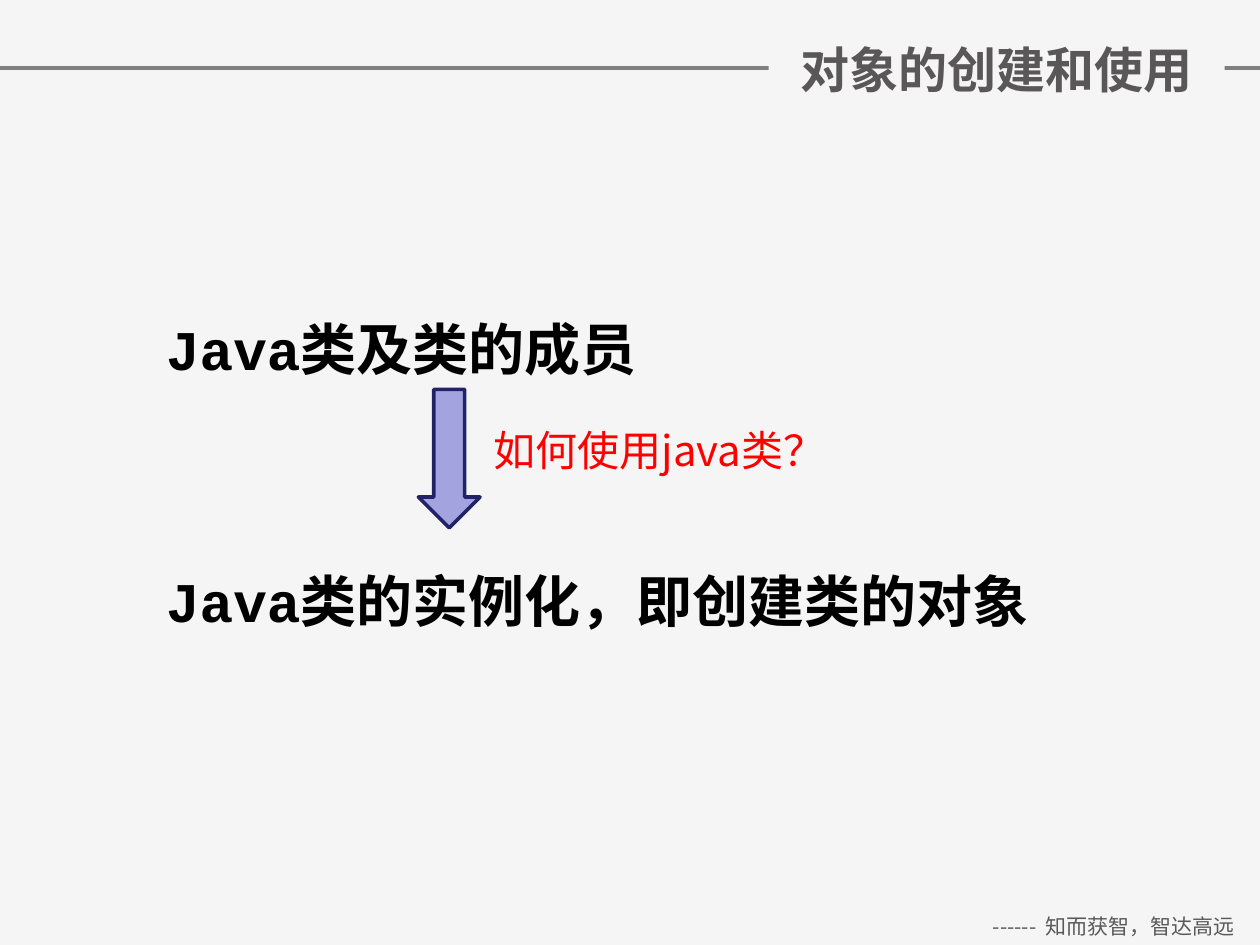
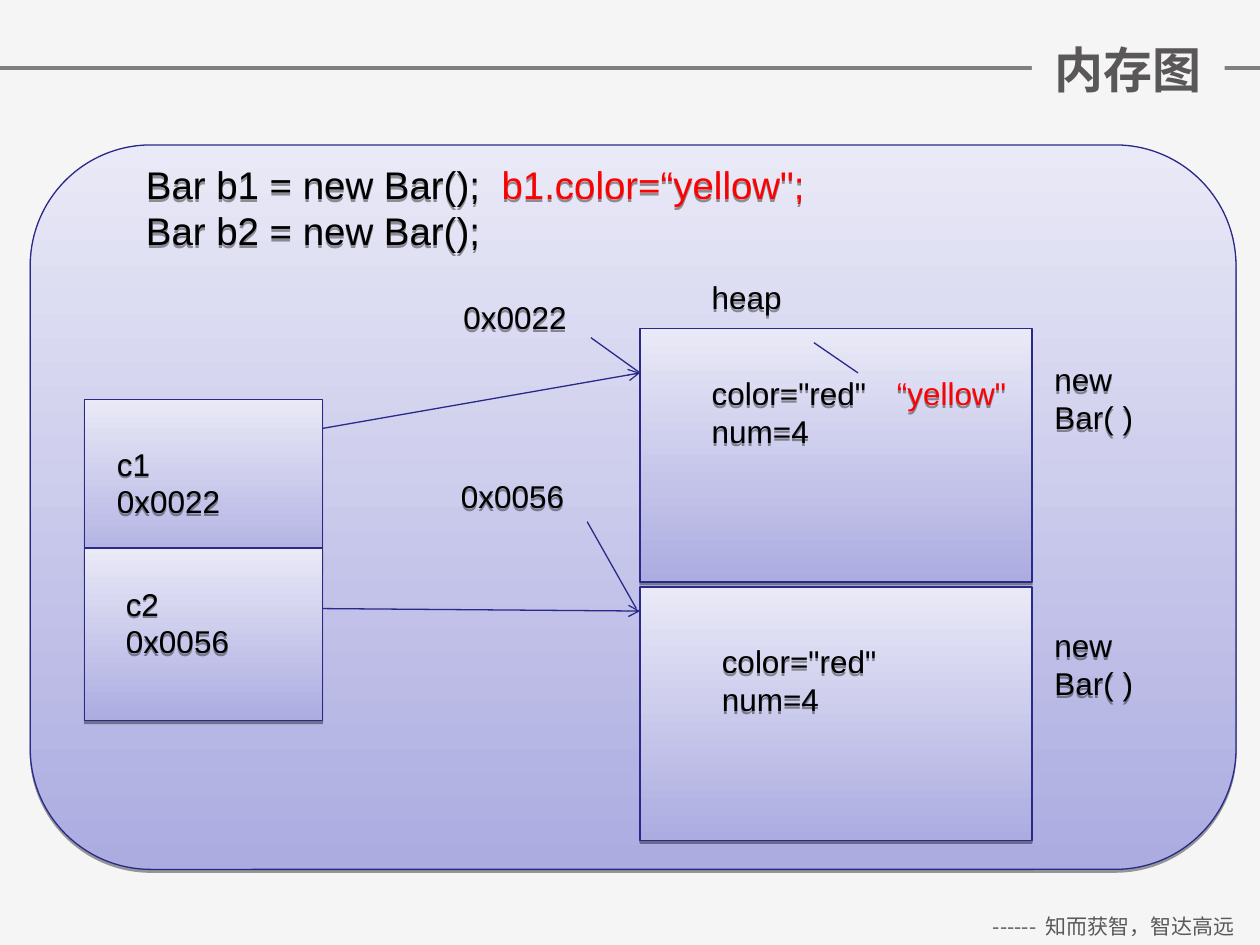
from lxml.etree import SubElement
from pptx import Presentation
from pptx.dml.color import RGBColor
from pptx.enum.shapes import MSO_CONNECTOR, MSO_SHAPE
from pptx.enum.text import MSO_ANCHOR, PP_ALIGN
from pptx.oxml.ns import qn
from pptx.util import Inches, Pt

COLS, ROWS = 10, 7.5
PAPER, GREY, INK, RED = "F5F5F5", "7F7F7F", "000000", "FF0000"
TITLE, FOOTER, NAVY = "595758", "595959", "292989"
DARK, LIGHT = "ACACE1", "E9E9F7"
SANS, CJK, MONO, PLAIN = "Arial", "Noto Sans CJK SC", "Courier New", "Noto Sans CJK JP"


def rgb(value):
    """Turn a hex string into a colour."""
    return RGBColor.from_string(value)


class Deck:
    """Holds the presentation, its shared style and the current slide."""

    def __init__(self):
        """Set the slide size and the background of every slide."""
        self.prs = Presentation()
        self.prs.slide_width, self.prs.slide_height = Inches(10), Inches(7.5)
        fill = self.prs.slide_master.background.fill
        fill.solid()
        fill.fore_color.rgb = rgb(PAPER)

    def grid(self, x, y):
        """Convert a column and a row to slide lengths."""
        return (int(self.prs.slide_width * x / COLS),
                int(self.prs.slide_height * y / ROWS))

    def box(self, x, y, w, h):
        """Convert a grid rectangle to left, top, width and height."""
        return self.grid(x, y) + self.grid(w, h)

    def slide(self, title, width, height):
        """Start a slide with its rule, footer and right-hand title."""
        self.s = self.prs.slides.add_slide(self.prs.slide_layouts[5])
        self.line((0, 0.54), (COLS, 0.54), GREY, 2)
        self.text((7.68, 7.2, 2.32, 0.3), "------  知而获智，智达高远",
                  12, CJK, FOOTER, align=PP_ALIGN.CENTER)
        sp = self.s.shapes.title
        self.s.shapes.element.append(sp.element)
        sp.left, sp.top, sp.width, sp.height = self.box(
            9.72 - width, 0.55 - height / 2, width, height)
        sp.fill.solid()
        sp.fill.fore_color.rgb = rgb(PAPER)
        tf = sp.text_frame
        tf.text = title
        tf.vertical_anchor = MSO_ANCHOR.MIDDLE
        tf.paragraphs[0].alignment = PP_ALIGN.CENTER
        self.style(tf.paragraphs[0].runs[0], 28, CJK, TITLE, True)

    def style(self, r, size, font, color, bold=False):
        """Format one run, with a matching East Asian font."""
        r.font.size, r.font.name, r.font.bold = Pt(size), font, bold
        r.font.color.rgb = rgb(color)
        east = CJK if font in (SANS, MONO) else font
        SubElement(r.font._element, qn("a:ea"), typeface=east)

    def shadow(self, sp):
        """Drop a short, sharp shadow straight down."""
        effects = SubElement(sp.element.spPr, qn("a:effectLst"))
        drop = SubElement(effects, qn("a:outerShdw"), blurRad="0", dist="20320",
                          dir="5400000", rotWithShape="0")
        color = SubElement(drop, qn("a:srgbClr"), val=INK)
        SubElement(color, qn("a:alpha"), val="38000")

    def text(self, at, text, size, font, color=INK, bold=False,
             align=PP_ALIGN.LEFT, accent=""):
        """Add a text box; an accent follows its first line in red."""
        sp = self.s.shapes.add_textbox(*self.box(*at))
        tf = sp.text_frame
        tf.text = text
        tf.word_wrap = True
        for p in tf.paragraphs:
            p.alignment = align
            self.style(p.runs[0], size, font, color, bold)
        if accent:
            r = tf.paragraphs[0].add_run()
            r.text = accent
            self.style(r, size, font, RED, bold)
        return sp

    def label(self, at, text, color=INK, size=18, accent=""):
        """Add a shadowed diagram label."""
        self.shadow(self.text(at, text, size, SANS, color, accent=accent))

    def panel(self, at, kind=MSO_SHAPE.RECTANGLE):
        """Add a gradient panel with a thin outline and a shadow."""
        sp = self.s.shapes.add_shape(kind, *self.box(*at))
        sp.fill.gradient()
        sp.fill.gradient_angle = 90
        for stop, color in zip(sp.fill.gradient_stops, (DARK, LIGHT)):
            stop.color.rgb = rgb(color)
        sp.line.color.rgb = rgb(NAVY)
        sp.line.width = Pt(0.75)
        self.shadow(sp)

    def down_arrow(self, at):
        """Add a solid block arrow pointing down."""
        sp = self.s.shapes.add_shape(MSO_SHAPE.DOWN_ARROW, *self.box(*at))
        sp.shadow.inherit = False
        sp.fill.solid()
        sp.fill.fore_color.rgb = rgb("A3A3E0")
        sp.line.color.rgb = rgb("222268")
        sp.line.width = Pt(2)

    def line(self, start, end, color=NAVY, width=0.75, arrow=False):
        """Add a straight line, with an open arrowhead if asked."""
        sp = self.s.shapes.add_connector(
            MSO_CONNECTOR.STRAIGHT, *self.grid(*start), *self.grid(*end))
        sp.line.color.rgb = rgb(color)
        sp.line.width = Pt(width)
        if arrow:
            SubElement(sp.line._get_or_add_ln(), qn("a:tailEnd"), type="arrow")
        SubElement(sp.element.spPr, qn("a:effectLst"))


def object_creation(deck):
    """Build the slide that leads from class to object."""
    deck.slide("对象的创建和使用", 3.62, 1.04)
    headings = [(2.45, 4.4, "Java类及类的成员"),
                (4.45, 7.56, "Java类的实例化，即创建类的对象")]
    for top, width, heading in headings:
        deck.text((1.22, top, width, 0.64), heading, 32, MONO, bold=True)
    deck.down_arrow((3.32, 3.09, 0.49, 1.1))
    deck.text((3.82, 3.32, 3.54, 0.5), "如何使用java类？", 24, PLAIN, RED)


def memory_map(deck):
    """Build the diagram of stack references and heap objects."""
    deck.slide("内存图", 1.53, 0.57)
    deck.panel((0.24, 1.15, 9.57, 5.75), MSO_SHAPE.ROUNDED_RECTANGLE)
    deck.label((1.06, 1.23, 5.75, 0.84), "Bar b1 = new Bar();  \nBar b2 = new Bar();",
               size=22, accent="b1.color=“yellow\";")
    for top in (3.17, 4.35):
        deck.panel((0.67, top, 1.89, 1.37))
    for top in (2.61, 4.66):
        deck.panel((5.08, top, 3.11, 2.01))
    deck.label((5.55, 2.16, 1.89, 0.4), "heap")

    references = [
        ("c1", "0x0022", (0.83, 3.48), (3.58, 2.32), (2.56, 3.4), (5.08, 2.96)),
        ("c2", "0x0056", (0.9, 4.59), (3.56, 3.74), (2.56, 4.83), (5.08, 4.85)),
    ]
    for name, address, cell, tag, start, end in references:
        deck.line(start, end, arrow=True)
        deck.label((*cell, 1.26, 0.7), f"{name}\n{address}")
        deck.label((*tag, 1.1, 0.4), address)

    pointers = [((4.69, 2.68), (5.08, 2.96)), ((4.66, 4.14), (5.05, 4.83)),
                ((6.46, 2.72), (6.81, 2.96))]
    for start, end in pointers:
        deck.line(start, end)
    for top in (2.81, 4.92):
        deck.label((8.27, top, 1.3, 0.7), "new Bar( )")
    for x, y, width in ((5.55, 2.92, 2.05), (5.63, 5.05, 1.81)):
        deck.label((x, y, width, 0.7), "color=\"red\"\nnum=4")
    deck.label((7.02, 2.92, 1.18, 0.4), "“yellow\"", RED)


def main():
    """Build both slides and save them."""
    deck = Deck()
    object_creation(deck)
    memory_map(deck)
    deck.prs.save("out.pptx")


if __name__ == "__main__":
    main()
